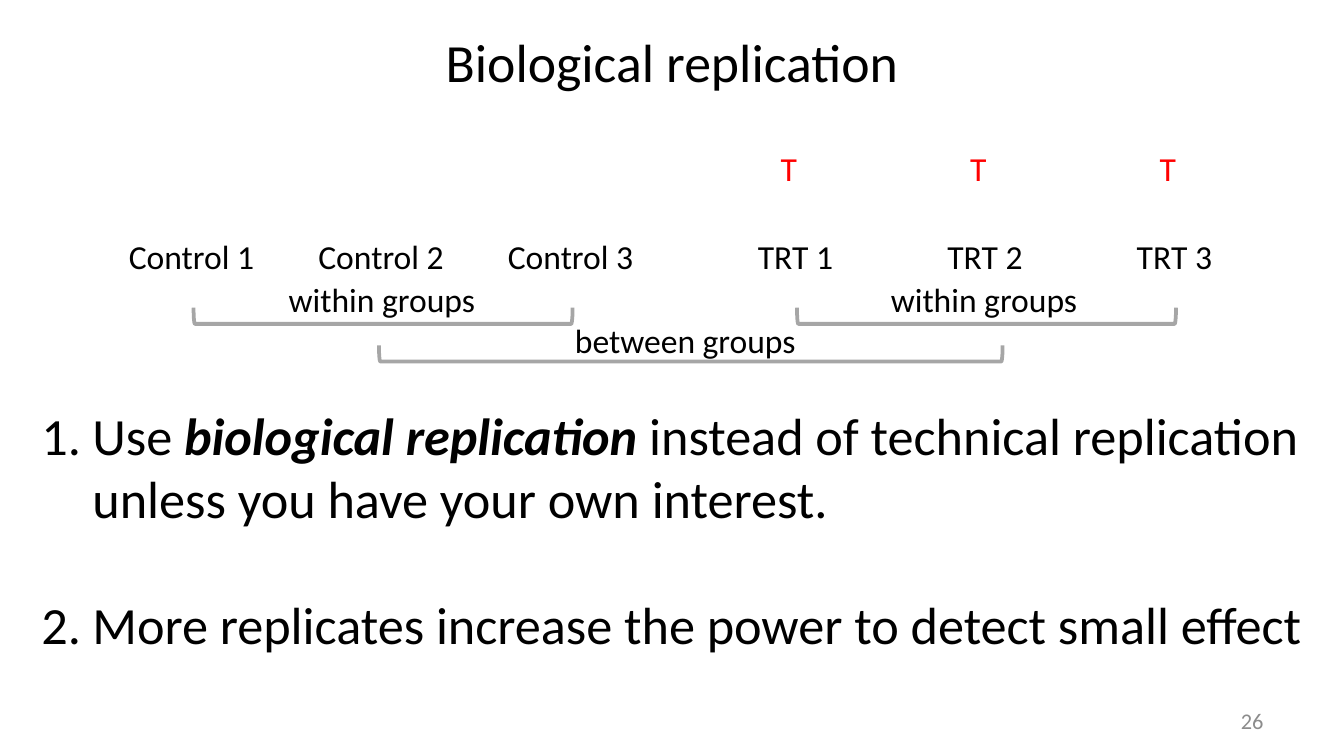
from dataclasses import dataclass

from lxml import etree
from pptx import Presentation
from pptx.dml.color import RGBColor
from pptx.enum.shapes import MSO_SHAPE
from pptx.enum.text import MSO_ANCHOR, PP_ALIGN
from pptx.oxml.ns import qn
from pptx.slide import Slide
from pptx.util import Inches, Pt

BRACKET = MSO_SHAPE.LEFT_BRACKET
LEFT, CENTER, RIGHT = PP_ALIGN.LEFT, PP_ALIGN.CENTER, PP_ALIGN.RIGHT
TOP, MIDDLE = MSO_ANCHOR.TOP, MSO_ANCHOR.MIDDLE
BLANK_LAYOUT = 6

BLACK, RED, GREY, LINE_GREY = "000000", "FF0000", "8C8C8C", "A6A6A6"


def rgb(value):
    return RGBColor.from_string(value)


@dataclass
class SlideBuilder:
    page: Slide
    font: str = "Calibri"

    def frame(self, left, top, width, height, wrap=True, anchor=TOP):
        box = self.page.shapes.add_textbox(
            Inches(left), Inches(top), Inches(width), Inches(height))
        box.text_frame.word_wrap = wrap
        box.text_frame.vertical_anchor = anchor
        return box.text_frame

    def span(self, para, text, size, color=BLACK, strong=False):
        """Add one run; strong means bold italic."""
        span = para.add_run()
        span.text = text
        span.font.name = self.font
        span.font.size = Pt(size)
        span.font.color.rgb = rgb(color)
        span.font.bold = span.font.italic = strong

    def text(self, text, left, top, width, height, size=18, color=BLACK,
             align=LEFT, wrap=False, anchor=TOP):
        para = self.frame(left, top, width, height, wrap, anchor).paragraphs[0]
        para.alignment = align
        self.span(para, text, size, color)

    def bracket(self, left, top, width, depth=0.12):
        """Draw a bracket that opens upwards; the box given is the one seen."""
        shift = (width - depth) / 2
        shape = self.page.shapes.add_shape(
            BRACKET, Inches(left + shift), Inches(top - shift),
            Inches(depth), Inches(width))
        shape.rotation = 270
        shape.shadow.inherit = False
        shape.fill.background()
        shape.line.color.rgb = rgb(LINE_GREY)
        shape.line.width = Pt(2)

    def numbered_list(self, items, left, top, width, height, size=28, gap=34):
        """Each item is a list of (text, strong) pairs."""
        frame = self.frame(left, top, width, height)
        for index, item in enumerate(items):
            para = frame.add_paragraph() if index else frame.paragraphs[0]
            properties = para._p.get_or_add_pPr()
            properties.set("marL", str(Inches(0.38)))
            properties.set("indent", str(-Inches(0.38)))
            etree.SubElement(properties, qn("a:buAutoNum"), type="arabicPeriod")
            para.alignment = LEFT
            if index:
                para.space_before = Pt(gap)
            for text, strong in item:
                self.span(para, text, size, strong=strong)


def main():
    deck = Presentation()
    deck.slide_width = Inches(10)
    deck.slide_height = deck.slide_width * 9 // 16
    builder = SlideBuilder(deck.slides.add_slide(deck.slide_layouts[BLANK_LAYOUT]))

    builder.text("Biological replication", 0.5, 0.14, 9, 0.63, size=28.8,
                 align=CENTER, wrap=True, anchor=MIDDLE)

    group_width = 2.82
    column_gap = group_width / 2
    for number in range(3):
        offset = number * column_gap
        builder.text(f"Control {number + 1}", 0.86 + offset, 1.71, 1.15, 0.4)
        builder.text(f"TRT {number + 1}", 5.54 + offset, 1.71, 0.77, 0.4)
        builder.text("T", 5.71 + offset, 1.05, 0.33, 0.4, color=RED)

    for bracket_left, label_left in ((1.44, 2.05), (5.93, 6.53)):
        builder.bracket(bracket_left, 2.29, group_width)
        builder.text("within groups", label_left, 2.03, 1.61, 0.4)
    builder.bracket(2.82, 2.57, 4.64)
    builder.text("between groups", 4.18, 2.33, 1.87, 0.4)

    builder.numbered_list([
        [("Use ", False), ("biological replication ", True),
         ("instead of technical replication unless you have your own interest.",
          False)],
        [("More replicates increase the power to detect small effect", False)],
    ], 0.21, 2.95, 9.77, 1.99)

    builder.text("26", 7.17, 5.21, 2.33, 0.3, size=12, color=GREY, align=RIGHT,
                 wrap=True, anchor=MIDDLE)
    deck.save("out.pptx")


if __name__ == "__main__":
    main()
